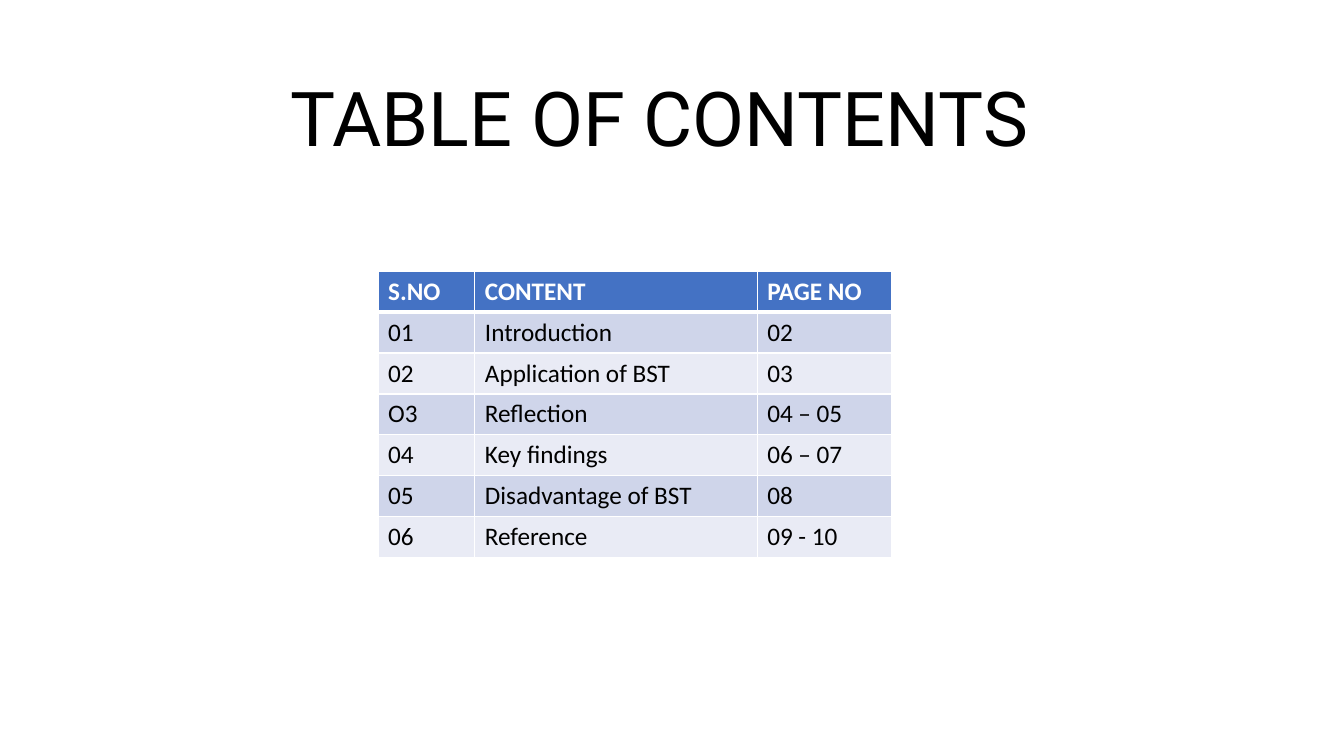
from dataclasses import dataclass

from lxml.etree import SubElement
from pptx import Presentation
from pptx.dml.color import RGBColor
from pptx.enum.text import MSO_ANCHOR as Anchor, PP_ALIGN as Align
from pptx.oxml.ns import qn
from pptx.slide import Slide
from pptx.table import _Cell as Cell
from pptx.text.text import TextFrame
from pptx.util import Inches, Pt

COLORS = {
    "text": "000000",
    "header": "4472C4",
    "header_text": "FFFFFF",
    "odd_row": "CFD5EA",
    "even_row": "E9EBF5",
    "border": "FFFFFF",
}
COLUMN_WIDTHS = (0.96, 2.8, 1.33)
ROW_HEIGHT = 0.406
THIN, THICK = 1, 3


@dataclass(frozen=True)
class Entry:
    number: str
    content: str
    pages: str


HEADER = Entry("S.NO", "CONTENT", "PAGE NO")
ENTRIES = (
    Entry("01", "Introduction", "02"),
    Entry("02", "Application of BST", "03"),
    Entry("O3", "Reflection", "04 – 05"),
    Entry("04", "Key findings", "06 – 07"),
    Entry("05", "Disadvantage of BST", "08"),
    Entry("06", "Reference", "09 - 10"),
)


def write_text(frame: TextFrame, text: str, *, size: float = 18, font: str = "Calibri",
               color: str = "text", bold: bool = False, align: Align = Align.LEFT,
               line_spacing: float = 1.0) -> None:
    paragraph = frame.paragraphs[0]
    paragraph.alignment = align
    paragraph.line_spacing = line_spacing
    run = paragraph.add_run()
    run.text = text
    run.font.size = Pt(size)
    run.font.name = font
    run.font.bold = bold
    run.font.color.rgb = RGBColor.from_string(COLORS[color])


def set_borders(cell: Cell, top: float, bottom: float) -> None:
    properties = cell._tc.get_or_add_tcPr()
    for side, width in (("L", THIN), ("R", THIN), ("T", top), ("B", bottom)):
        line = SubElement(properties, qn(f"a:ln{side}"), w=str(Pt(width)))
        fill = SubElement(line, qn("a:solidFill"))
        SubElement(fill, qn("a:srgbClr"), val=COLORS["border"])


def add_title(slide: Slide) -> None:
    box = slide.shapes.add_textbox(Inches(0.79), Inches(0.49), Inches(11.5), Inches(1.45))
    box.text_frame.word_wrap = True
    box.text_frame.vertical_anchor = Anchor.MIDDLE
    write_text(box.text_frame, "TABLE OF CONTENTS", size=54, font="Roboto",
               align=Align.CENTER, line_spacing=0.9)


def add_contents_table(slide: Slide) -> None:
    entries = (HEADER, *ENTRIES)
    table = slide.shapes.add_table(
        len(entries), len(COLUMN_WIDTHS), Inches(3.75), Inches(2.69),
        Inches(sum(COLUMN_WIDTHS)), Inches(ROW_HEIGHT * len(entries))).table
    for column, width in zip(table.columns, COLUMN_WIDTHS):
        column.width = Inches(width)
    for row, entry in enumerate(entries):
        is_header = row == 0
        fill = "header" if is_header else "odd_row" if row % 2 else "even_row"
        for column, text in enumerate((entry.number, entry.content, entry.pages)):
            cell = table.cell(row, column)
            set_borders(cell, THICK if row == 1 else THIN, THICK if is_header else THIN)
            cell.fill.solid()
            cell.fill.fore_color.rgb = RGBColor.from_string(COLORS[fill])
            write_text(cell.text_frame, text, bold=is_header,
                       color="header_text" if is_header else "text")


def main() -> None:
    presentation = Presentation()
    presentation.slide_width = Inches(13.33)
    presentation.slide_height = Inches(7.5)
    slide = presentation.slides.add_slide(presentation.slide_layouts[6])
    add_title(slide)
    add_contents_table(slide)
    presentation.save("out.pptx")


if __name__ == "__main__":
    main()
